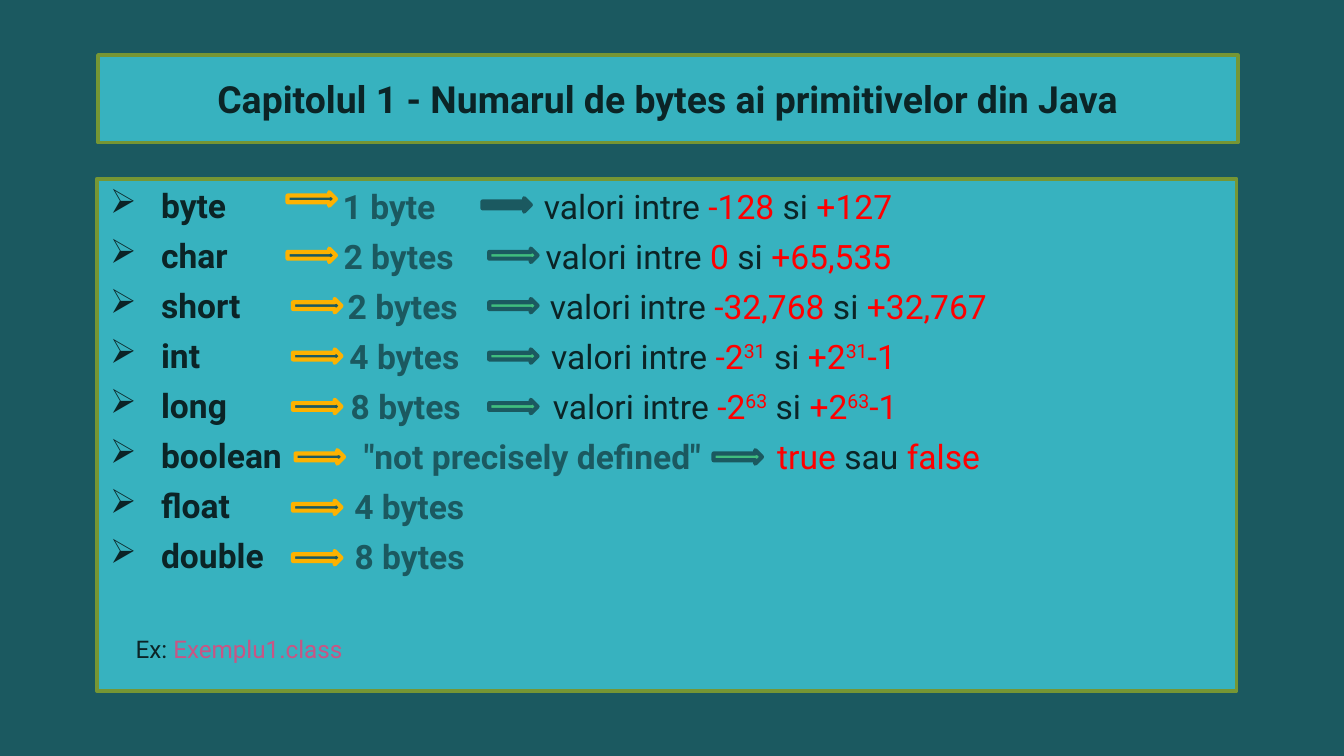
from lxml import etree
from pptx import Presentation
from pptx.dml.color import RGBColor
from pptx.enum import shapes, text
from pptx.oxml import ns
from pptx.util import Pt

DARK_TEAL = RGBColor(0x1B, 0x59, 0x60)
TEAL = RGBColor(0x37, 0xB2, 0xBF)
OLIVE = RGBColor(0x76, 0x96, 0x34)
INK = RGBColor(0x0B, 0x24, 0x26)
AMBER = RGBColor(0xFD, 0xB2, 0x00)
GREEN = RGBColor(0x40, 0xBD, 0x7E)
RED = RGBColor(0xFF, 0x00, 0x00)
PINK = RGBColor(0xC9, 0x55, 0x84)

FONT = "Roboto"
TEXT_TOP = 99.36
SIZE_LEFT, RANGE_LEFT = 183.6, 291.4
ARROW_TOP, ROW_STEP = 106.2, 27

# Type, size, size indent, x of the arrow before the size
TYPES = [
    ("byte", "1 byte", 0, 154.1),
    ("char", "2 bytes", 0.5, 154.1),
    ("short", "2 bytes", 2.7, 157),
    ("int", "4 bytes", 3.6, 157),
    ("long", "8 bytes", 4.3, 157),
    ("boolean", '"not precisely defined"', 11.4, 158.4),
    ("float", "4 bytes", 6.2, 157),
    ("double", "8 bytes", 6.4, 157),
]
# Lead, low, joining word, high, indent, x of the arrow before the range;
# carets enclose an exponent
RANGES = [
    ("valori intre ", "-128", " si ", "+127", 0, 258.5),
    ("valori intre ", "0", " si ", "+65,535", 1, 262.1),
    ("valori intre ", "-32,768", " si ", "+32,767", 3.2, 262.1),
    ("valori intre ", "-2^31^", " si ", "+2^31^-1", 3.9, 262.1),
    ("valori intre ", "-2^63^", " si ", "+2^63^-1", 4.8, 262.1),
    ("", "true", " sau ", "false", 125, 382.3),
]


def paint(shape, fill, line, width):
    shape.shadow.inherit = False
    shape.fill.solid()
    shape.fill.fore_color.rgb = fill
    shape.line.color.rgb = line
    shape.line.width = Pt(width)


def add_text_box(page, left, top, width, height):
    box = page.shapes.add_textbox(Pt(left), Pt(top), Pt(width), Pt(height))
    frame = box.text_frame
    frame.word_wrap = True
    frame.margin_left = frame.margin_right = 0
    frame.margin_top = frame.margin_bottom = 0
    return frame


def add_row(frame, index, indent, bold=False, bullet=None):
    """Return the paragraph of one list row, indented in points."""
    para = frame.paragraphs[0] if index == 0 else frame.add_paragraph()
    para.alignment = text.PP_ALIGN.LEFT
    para.line_spacing = Pt(21.6)
    para.space_after = Pt(5.2)
    para.font.name, para.font.size, para.font.bold = FONT, Pt(18), bold
    properties = para._p.get_or_add_pPr()
    properties.set("marL", str(Pt(indent)))
    if bullet:
        properties.set("indent", str(-Pt(indent)))
        mark = etree.Element(ns.qn("a:buChar"), char=bullet)
        properties.find(ns.qn("a:defRPr")).addprevious(mark)
    return para


def add_span(para, words, color):
    """Add coloured text, raising the parts between carets."""
    for number, part in enumerate(words.split("^")):
        if not part:
            continue
        span = para.add_run()
        span.text = part
        span.font.color.rgb = color
        if number % 2:
            span._r.get_or_add_rPr().set("baseline", "30000")


def add_arrow(page, left, top, fill, line):
    arrow = page.shapes.add_shape(
        shapes.MSO_SHAPE.RIGHT_ARROW, Pt(left), Pt(top), Pt(25.9), Pt(7.2))
    paint(arrow, fill, line, 2.25)


def add_title(page):
    title = page.shapes.title
    title.left, title.top = Pt(52.56), Pt(29.52)
    title.width, title.height = Pt(610.56), Pt(46.8)
    geometry = etree.SubElement(
        title._element.spPr, ns.qn("a:prstGeom"), prst="roundRect")
    etree.SubElement(geometry, ns.qn("a:avLst"))
    paint(title, TEAL, OLIVE, 2)
    frame = title.text_frame
    frame.auto_size = text.MSO_AUTO_SIZE.NONE
    frame.vertical_anchor = text.MSO_ANCHOR.MIDDLE
    para = frame.paragraphs[0]
    para.alignment = text.PP_ALIGN.CENTER
    para.font.name, para.font.size, para.font.bold = FONT, Pt(20), True
    add_span(para, "Capitolul 1 - Numarul de bytes ai primitivelor din Java", INK)


def add_types(page):
    panel = page.shapes.add_shape(
        shapes.MSO_SHAPE.FOLDED_CORNER, Pt(51.84), Pt(95.76), Pt(610.56), Pt(274.32))
    # Flatten the fold
    guides = next(panel._element.iter(ns.qn("a:avLst")))
    etree.SubElement(guides, ns.qn("a:gd"), name="adj", fmla="val 0")
    paint(panel, TEAL, OLIVE, 2)
    panel.text_frame.vertical_anchor = text.MSO_ANCHOR.TOP
    sizes = add_text_box(page, SIZE_LEFT, TEXT_TOP, 200, 215)
    for index, (name, size, indent, arrow_left) in enumerate(TYPES):
        para = add_row(panel.text_frame, index, 27.36, bold=True, bullet="➢")
        add_span(para, name, INK)
        add_span(add_row(sizes, index, indent, bold=True), size, DARK_TEAL)
        # The first arrow sits a little higher than its row
        top = ARROW_TOP + ROW_STEP * index if index else 103
        add_arrow(page, arrow_left, top, DARK_TEAL, AMBER)


def add_ranges(page):
    ranges = add_text_box(page, RANGE_LEFT, TEXT_TOP, 360, 161)
    for index, (lead, low, joiner, high, indent, arrow_left) in enumerate(RANGES):
        para = add_row(ranges, index, indent)
        for words, color in ((lead, INK), (low, RED), (joiner, INK), (high, RED)):
            if words:
                add_span(para, words, color)
        add_arrow(page, arrow_left, ARROW_TOP + ROW_STEP * index,
                  GREEN if index else DARK_TEAL, DARK_TEAL)


def add_example(page):
    frame = add_text_box(page, 72.72, 339.84, 210, 16)
    para = frame.paragraphs[0]
    para.font.name, para.font.size = FONT, Pt(13)
    add_span(para, "Ex: ", INK)
    add_span(para, "Exemplu1.class", PINK)


def main():
    deck = Presentation()
    deck.slide_width, deck.slide_height = Pt(720), Pt(405)
    page = deck.slides.add_slide(deck.slide_layouts[5])
    page.background.fill.solid()
    page.background.fill.fore_color.rgb = DARK_TEAL

    add_title(page)
    add_types(page)
    add_ranges(page)
    add_example(page)
    deck.save("out.pptx")


if __name__ == "__main__":
    main()
